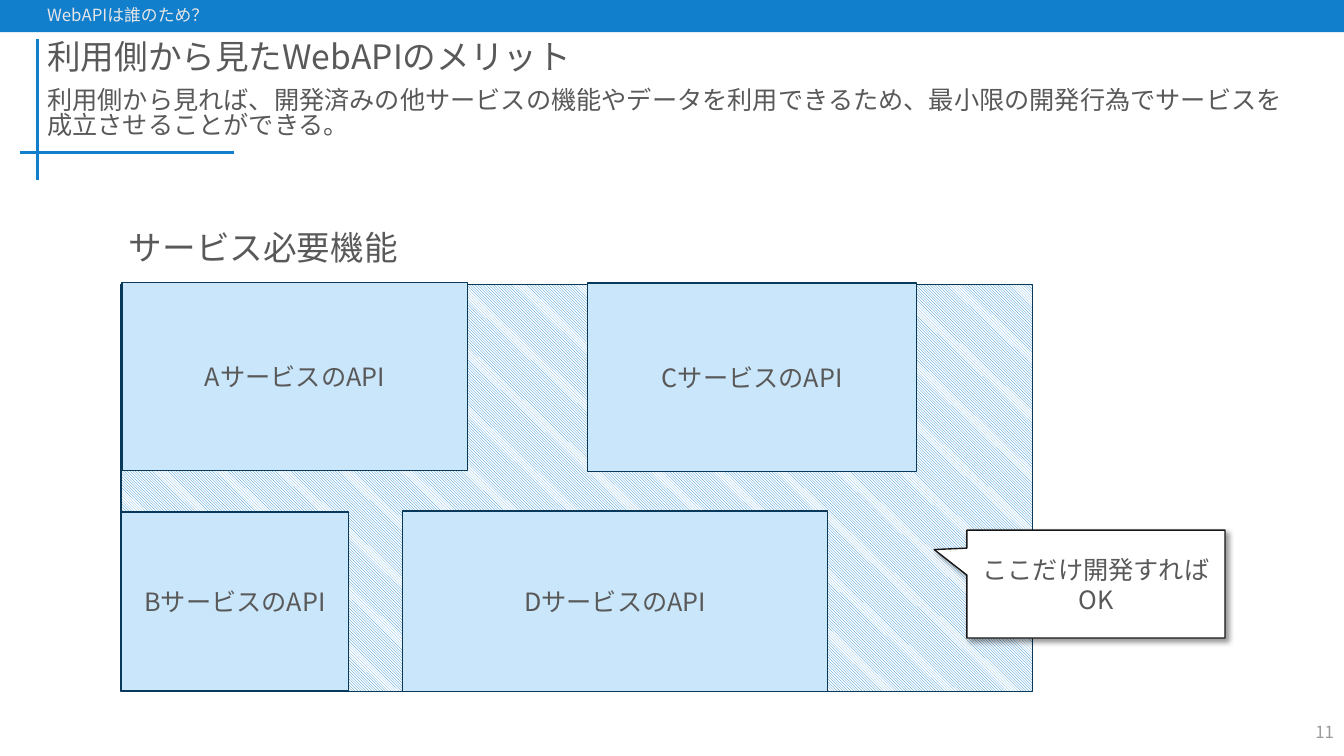
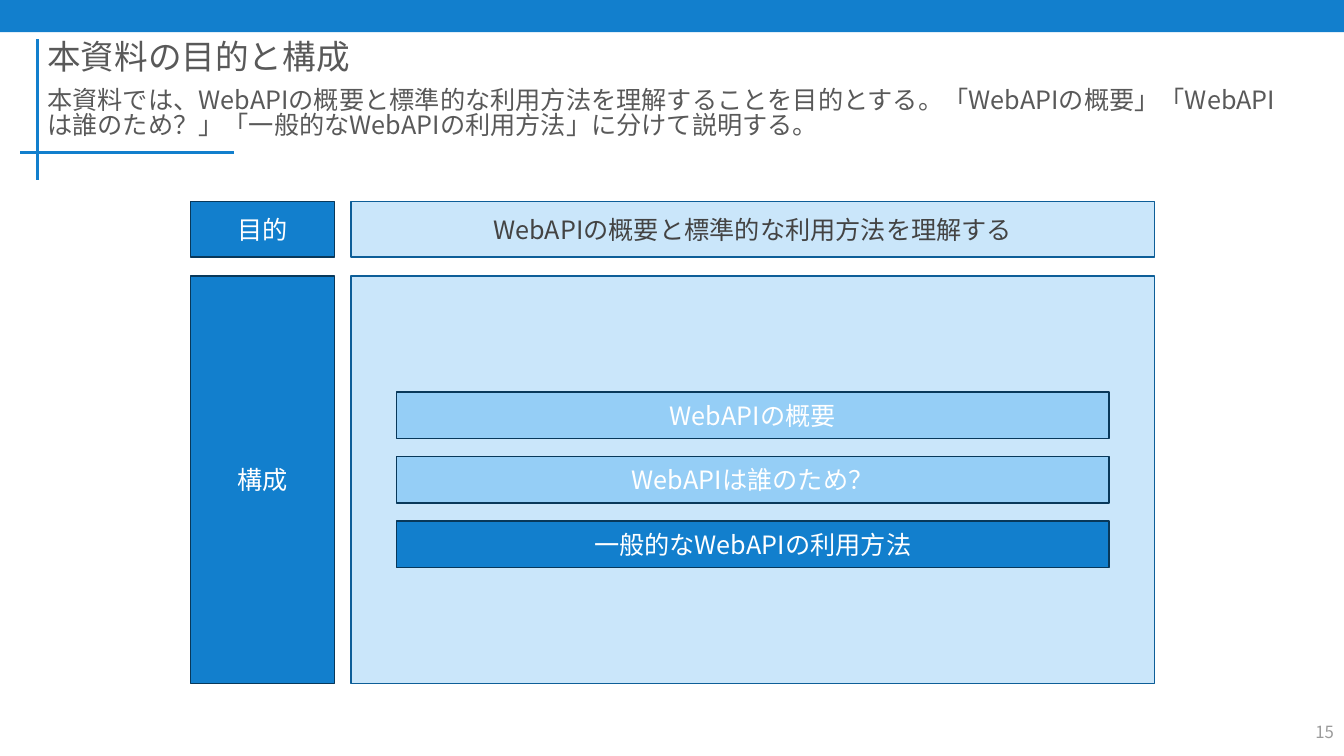
from lxml import etree
from pptx import Presentation
from pptx.dml.color import RGBColor
from pptx.enum.dml import MSO_PATTERN
from pptx.enum.shapes import MSO_CONNECTOR, MSO_SHAPE
from pptx.enum.text import MSO_ANCHOR as ANCHOR, PP_ALIGN as ALIGN
from pptx.oxml import parse_xml
from pptx.oxml.ns import nsdecls, qn
from pptx.util import Inches, Pt

FONT = "Noto Sans CJK JP"
BLUE = RGBColor(0x12, 0x7F, 0xCD)
SKY = RGBColor(0x95, 0xCE, 0xF6)
PALE = RGBColor(0xCA, 0xE6, 0xFA)
NAVY = RGBColor(0x08, 0x38, 0x5A)
PANEL_LINE = RGBColor(0x0D, 0x5E, 0x98)
WHITE = RGBColor(0xFF, 0xFF, 0xFF)
BLACK = RGBColor(0x18, 0x17, 0x17)
GREY = RGBColor(0x59, 0x59, 0x59)
DARK_GREY = RGBColor(0x43, 0x43, 0x43)
PAGE_GREY = RGBColor(0x9B, 0x9B, 0x9B)
LIGHT_GREY = RGBColor(0xE7, 0xE6, 0xE6)

SLIDE_W, SLIDE_H = 13.33, 7.5
BAND_H = 0.32
TEXT_X, TEXT_W = 0.37, 12.6


def inches(box):
    """Convert a left, top, width, height box to lengths."""
    return [Inches(v) for v in box]


def write(shape, text, size, color, align=ALIGN.LEFT, anchor=ANCHOR.MIDDLE,
          spacing=None, before=None):
    """Put one formatted paragraph into a shape."""
    tf = shape.text_frame
    tf.word_wrap = True
    tf.vertical_anchor = anchor
    p = tf.paragraphs[0]
    p.text = text
    p.alignment = align
    if spacing:
        p.line_spacing = spacing
    if before:
        p.space_before = Pt(before)
    for r in p.runs:
        r.font.size = Pt(size)
        r.font.name = FONT
        r.font.color.rgb = color
        latin = r.font._element.find(qn("a:latin"))
        ea = etree.Element(qn("a:ea"), typeface=FONT)
        latin.addnext(ea)


def add_text(slide, box, text, size, color, **style):
    """Add a text box."""
    write(slide.shapes.add_textbox(*inches(box)), text, size, color, **style)


def add_box(slide, box, fill, line=NAVY, text="", color=GREY,
            kind=MSO_SHAPE.RECTANGLE):
    """Add a filled shape with optional centred text."""
    sp = slide.shapes.add_shape(kind, *inches(box))
    sp.shadow.inherit = False
    sp.fill.solid()
    sp.fill.fore_color.rgb = fill
    if line is None:
        sp.line.fill.background()
    else:
        sp.line.color.rgb = line
        sp.line.width = Pt(1)
    if text:
        write(sp, text, 18, color, align=ALIGN.CENTER)
    return sp


def add_rule(slide, x1, y1, x2, y2):
    """Add a blue title rule."""
    line = slide.shapes.add_connector(MSO_CONNECTOR.STRAIGHT, *inches((x1, y1, x2, y2)))
    line.line.color.rgb = BLUE
    line.line.width = Pt(2.25)
    etree.SubElement(line._element.spPr, qn("a:effectLst"))


def add_slide(prs, title, lead, page, section=""):
    """Add a slide with band, rules, title, lead text and page number."""
    slide = prs.slides.add_slide(prs.slide_layouts[6])
    add_box(slide, (0, 0, SLIDE_W, BAND_H), BLUE, line=None)
    add_rule(slide, TEXT_X, 0.39, TEXT_X, 1.79)
    add_rule(slide, 2.32, 1.51, 0.2, 1.51)
    add_text(slide, (TEXT_X, BAND_H, TEXT_W, 0.52), title, 24, GREY, spacing=0.9)
    add_text(slide, (TEXT_X, 0.85, TEXT_W, 0.63), lead, 18, GREY,
             anchor=ANCHOR.TOP, spacing=0.8, before=10)
    add_text(slide, (12.78, 7.1, 0.55, BAND_H), str(page), 12, PAGE_GREY,
             align=ALIGN.RIGHT)
    if section:
        add_text(slide, (TEXT_X, 0, TEXT_W, BAND_H), section, 12, LIGHT_GREY,
                 spacing=0.9, before=10)
    return slide


def add_callout(slide, box, text):
    """Add a white callout with a soft shadow, pointing left."""
    sp = add_box(slide, box, WHITE, BLACK, text, kind=MSO_SHAPE.RECTANGULAR_CALLOUT)
    sp.adjustments[0] = -0.627
    sp.adjustments[1] = -0.32
    effects = sp._element.spPr.find(qn("a:effectLst"))
    effects.append(parse_xml(
        f'<a:outerShdw {nsdecls("a")} blurRad="{Pt(4)}" dist="{Pt(3)}" '
        'dir="2700000" algn="tl" rotWithShape="0">'
        '<a:srgbClr val="000000"><a:alpha val="40000"/></a:srgbClr></a:outerShdw>'))


def add_feature_map(slide, box):
    """Draw the required features as a hatched area covered by service APIs."""
    x, y, w, h = box
    area = add_box(slide, box, WHITE)
    area.fill.patterned()
    area.fill.pattern = MSO_PATTERN.LIGHT_DOWNWARD_DIAGONAL
    area.fill.fore_color.rgb = BLUE
    area.fill.back_color.rgb = WHITE
    services = [
        ("A", 0.01, -0.02, 3.43, 1.87),
        ("B", 0, 2.26, 2.26, 1.77),
        ("C", 4.63, -0.01, 3.26, 1.87),
        ("D", 2.79, 2.25, 4.22, 1.79),
    ]
    for name, dx, dy, sw, sh in services:
        add_box(slide, (x + dx, y + dy, sw, sh), PALE, text=f"{name}サービスのAPI")
    add_text(slide, (x - 0.02, y - 0.57, 3.26, 0.8), "サービス必要機能", 24, GREY,
             anchor=ANCHOR.TOP, spacing=0.9, before=10)
    add_callout(slide, (x + w - 0.65, y + h - 1.6, 2.56, 1.07), "ここだけ開発すればOK")


def add_labelled_row(slide, box, label, text=""):
    """Draw a blue label with a pale panel beside it and return the panel box."""
    x, y, w, h = box
    label_w, offset = 1.43, 1.59
    panel = (x + offset, y, w - offset, h)
    add_box(slide, (x, y, label_w, h), BLUE, text=label, color=WHITE)
    add_box(slide, panel, PALE, PANEL_LINE, text, DARK_GREY)
    return panel


def add_chapters(slide, box, chapters, current):
    """Stack chapter bars in the middle of a panel and highlight one."""
    x, y, w, h = box
    margin, bar_h, pitch = 0.45, 0.46, 0.64
    top = y + (h - bar_h - pitch * (len(chapters) - 1)) / 2
    for i, chapter in enumerate(chapters):
        add_box(slide, (x + margin, top + i * pitch, w - 2 * margin, bar_h),
                BLUE if i == current else SKY, text=chapter, color=WHITE)


def build_merit_slide(prs):
    """Build the slide on the merits for API users."""
    slide = add_slide(
        prs, "利用側から見たWebAPIのメリット",
        "利用側から見れば、開発済みの他サービスの機能やデータを利用できるため、"
        "最小限の開発行為でサービスを成立させることができる。",
        11, "WebAPIは誰のため？")
    add_feature_map(slide, (1.2, 2.82, 9.04, 4.04))


def build_agenda_slide(prs):
    """Build the slide on purpose and structure."""
    slide = add_slide(
        prs, "本資料の目的と構成",
        "本資料では、WebAPIの概要と標準的な利用方法を理解することを目的とする。"
        "「WebAPIの概要」「WebAPIは誰のため？」「一般的なWebAPIの利用方法」に分けて説明する。",
        15)
    add_labelled_row(slide, (1.89, 2, 9.56, 0.55), "目的",
                     "WebAPIの概要と標準的な利用方法を理解する")
    panel = add_labelled_row(slide, (1.89, 2.74, 9.56, 4.04), "構成")
    chapters = ["WebAPIの概要", "WebAPIは誰のため？", "一般的なWebAPIの利用方法"]
    add_chapters(slide, panel, chapters, current=2)


def main():
    """Build and save the presentation."""
    prs = Presentation()
    prs.slide_width = Inches(SLIDE_W)
    prs.slide_height = Inches(SLIDE_H)
    build_merit_slide(prs)
    build_agenda_slide(prs)
    prs.save("out.pptx")


if __name__ == "__main__":
    main()
